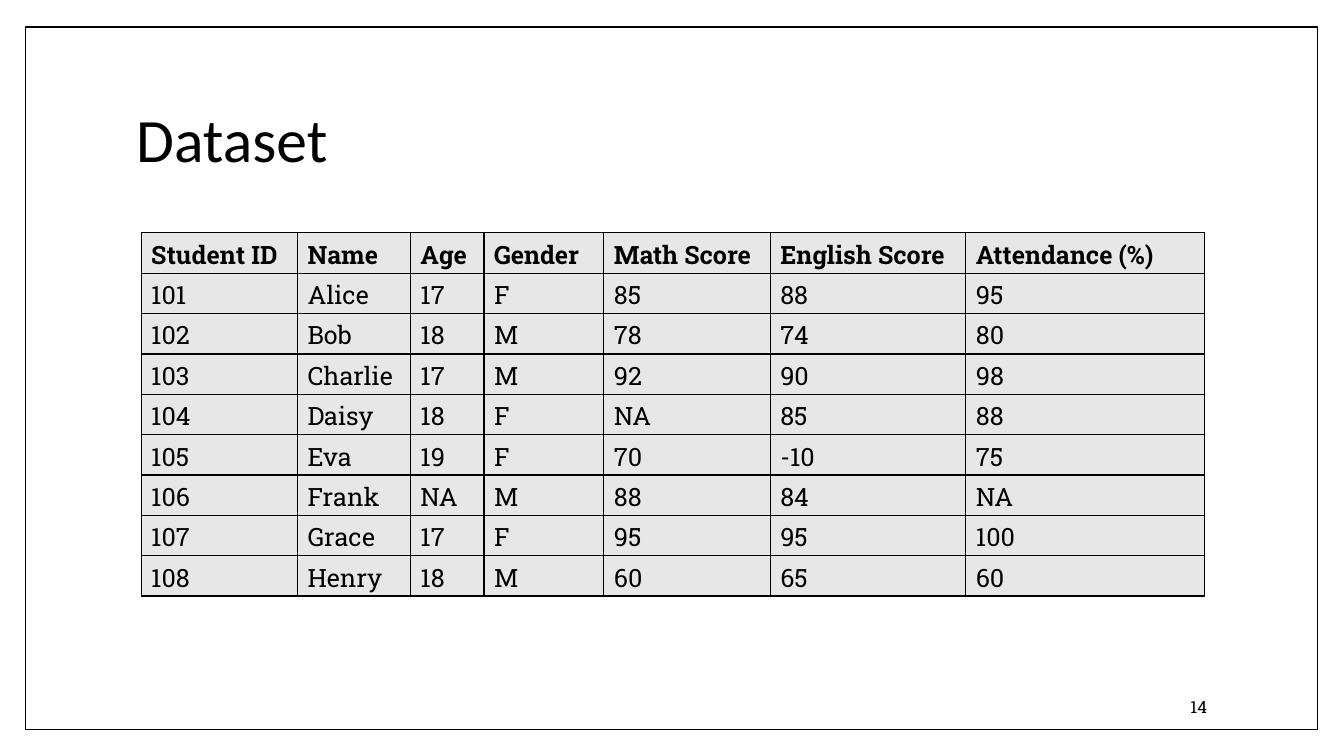
from lxml.etree import SubElement
from pptx import Presentation
from pptx.dml.color import RGBColor
from pptx.enum.shapes import MSO_SHAPE
from pptx.enum.text import MSO_ANCHOR, MSO_AUTO_SIZE, PP_ALIGN
from pptx.oxml.ns import qn
from pptx.util import Inches, Pt

BLACK = RGBColor(0x00, 0x00, 0x00)
WHITE = RGBColor(0xFF, 0xFF, 0xFF)
GREY = RGBColor(0xE7, 0xE7, 0xE7)
TITLE_FONT = "Calibri"
BODY_FONT = "Roboto Slab"

COLUMN_WIDTHS = [1.55, 1.12, 0.73, 1.19, 1.65, 1.94, 2.37]
ROW_HEIGHT = 0.4
STUDENTS = [
    ["Student ID", "Name", "Age", "Gender", "Math Score", "English Score", "Attendance (%)"],
    ["101", "Alice", "17", "F", "85", "88", "95"],
    ["102", "Bob", "18", "M", "78", "74", "80"],
    ["103", "Charlie", "17", "M", "92", "90", "98"],
    ["104", "Daisy", "18", "F", "NA", "85", "88"],
    ["105", "Eva", "19", "F", "70", "-10", "75"],
    ["106", "Frank", "NA", "M", "88", "84", "NA"],
    ["107", "Grace", "17", "F", "95", "95", "100"],
    ["108", "Henry", "18", "M", "60", "65", "60"],
]


def set_font(p, name, size, bold=False):
    """Format a paragraph in black."""
    p.font.name = name
    p.font.size = Pt(size)
    p.font.bold = bold
    p.font.color.rgb = BLACK


def add_frame(s, left, top, width, height):
    """Draw the page frame behind the title."""
    sp = s.shapes.add_shape(MSO_SHAPE.RECTANGLE, *map(Inches, (left, top, width, height)))
    sp.shadow.inherit = False
    sp.fill.solid()
    sp.fill.fore_color.rgb = WHITE
    sp.line.color.rgb = BLACK
    sp.line.width = Pt(1)
    s.shapes.title.element.addprevious(sp.element)


def add_title(s, text, left, top, width, height):
    """Place and format the title placeholder."""
    sp = s.shapes.title
    sp.left, sp.top, sp.width, sp.height = map(Inches, (left, top, width, height))
    tf = sp.text_frame
    tf.text = text
    tf.auto_size = MSO_AUTO_SIZE.NONE
    tf.vertical_anchor = MSO_ANCHOR.MIDDLE
    p = tf.paragraphs[0]
    p.alignment = PP_ALIGN.LEFT
    p.line_spacing = 0.9
    set_font(p, TITLE_FONT, 44)


def add_page_number(s, number, left, top, width, height):
    """Write the page number at the right of its box."""
    tf = s.shapes.add_textbox(*map(Inches, (left, top, width, height))).text_frame
    tf.word_wrap = True
    tf.vertical_anchor = MSO_ANCHOR.MIDDLE
    p = tf.paragraphs[0]
    p.text = str(number)
    p.alignment = PP_ALIGN.RIGHT
    set_font(p, BODY_FONT, 12)


def set_borders(cell):
    """Give a cell a thin black line on every side."""
    tc_pr = cell._tc.get_or_add_tcPr()
    for side in ("a:lnL", "a:lnR", "a:lnT", "a:lnB"):
        ln = SubElement(tc_pr, qn(side), w=str(Pt(1)))
        fill = SubElement(ln, qn("a:solidFill"))
        SubElement(fill, qn("a:srgbClr"), val=str(BLACK))


def add_student_table(s, rows, left, top, widths, row_height):
    """Draw the student records with a bold header row."""
    box = (left, top, sum(widths), row_height * len(rows))
    table = s.shapes.add_table(len(rows), len(widths), *map(Inches, box)).table
    for column, width in zip(table.columns, widths):
        column.width = Inches(width)
    for i, row in enumerate(rows):
        for j, text in enumerate(row):
            cell = table.cell(i, j)
            set_borders(cell)
            cell.fill.solid()
            cell.fill.fore_color.rgb = GREY
            cell.vertical_anchor = MSO_ANCHOR.MIDDLE
            cell.text = text
            set_font(cell.text_frame.paragraphs[0], BODY_FONT, 18, bold=i == 0)


def main():
    """Build the dataset slide and save it."""
    prs = Presentation()
    prs.slide_width, prs.slide_height = Inches(13.33), Inches(7.5)
    s = prs.slides.add_slide(prs.slide_layouts[5])
    add_frame(s, 0.25, 0.27, 12.82, 6.97)
    add_title(s, "Dataset", 1.25, 0.67, 10.8, 1.48)
    add_page_number(s, 14, 10.2, 6.81, 1.87, 0.4)
    add_student_table(s, STUDENTS, 1.4, 2.31, COLUMN_WIDTHS, ROW_HEIGHT)
    prs.save("out.pptx")


if __name__ == "__main__":
    main()
